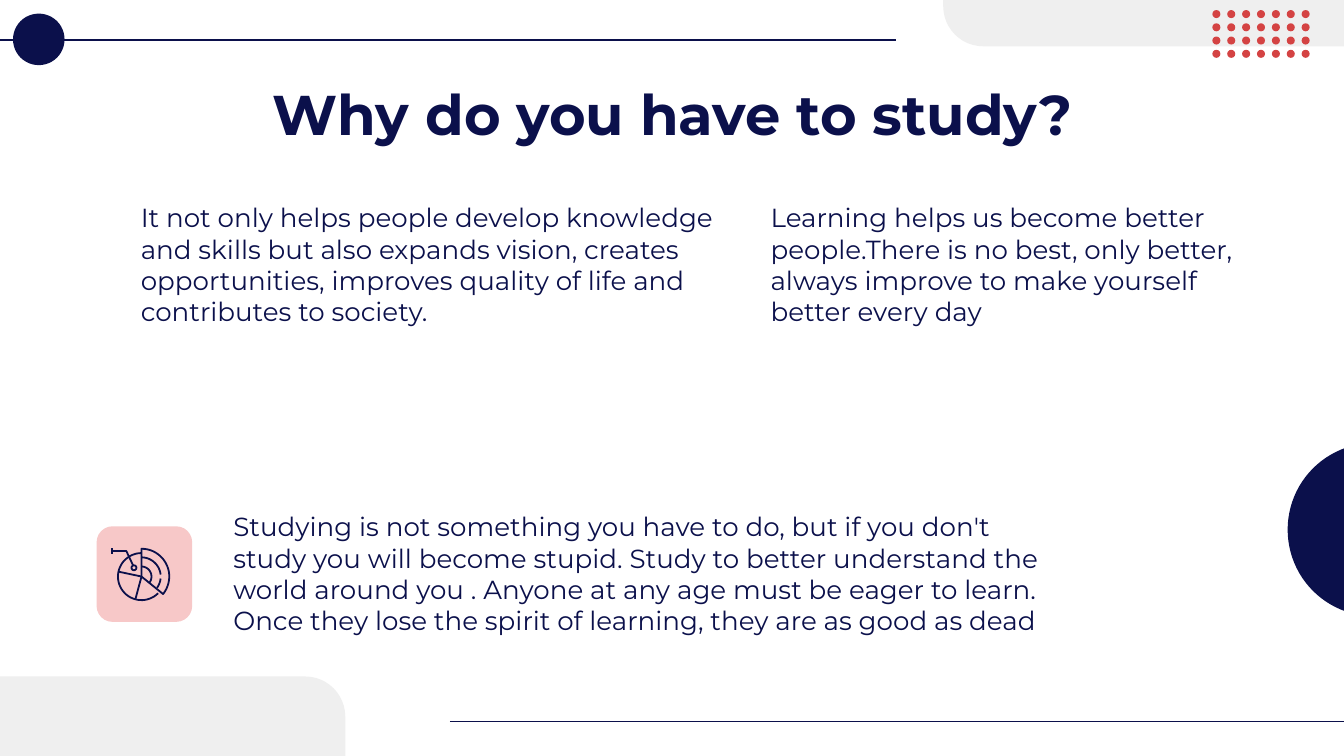
from itertools import product
from math import cos, radians, sin

from lxml.etree import SubElement
from pptx import Presentation
from pptx.dml.color import RGBColor
from pptx.enum.shapes import MSO_CONNECTOR as CONN, MSO_SHAPE as SHAPE
from pptx.enum.text import MSO_ANCHOR as ANCHOR, MSO_AUTO_SIZE as FIT, PP_ALIGN as ALIGN
from pptx.oxml.ns import qn
from pptx.util import Pt

NAVY, RED, PINK, GREY = "0B104B", "D44343", "F7C8C8", "EFEFEF"
FONT = "Montserrat"
HUB = (75.8, 308.9)


def paint(fmt, color):
    """Set a fill or font colour from a hex string."""
    if hasattr(fmt, "solid"):
        fmt.solid()
        fmt = fmt.fore_color
    fmt.rgb = RGBColor.from_string(color)


def place(sp, x, y, w, h):
    """Move and size an object, in points."""
    sp.left, sp.top, sp.width, sp.height = Pt(x), Pt(y), Pt(w), Pt(h)


def write(sp, text, size=14, bold=False, align=ALIGN.LEFT):
    """Fill a placeholder with one formatted, bullet-free paragraph."""
    tf = sp.text_frame
    tf.word_wrap, tf.auto_size, tf.vertical_anchor = True, FIT.NONE, ANCHOR.TOP
    tf.margin_left = tf.margin_right = tf.margin_top = tf.margin_bottom = Pt(7.2)
    p = tf.paragraphs[0]
    p.alignment, p.space_before, p.line_spacing = align, Pt(0), 1.0
    pPr = p._p.get_or_add_pPr()
    pPr.set("marL", "0")
    pPr.set("indent", "0")
    SubElement(pPr, qn("a:buNone"))
    r = p.add_run()
    r.text = text
    r.font.name, r.font.size, r.font.bold = FONT, Pt(size), bold
    paint(r.font.color, NAVY)


def add_shape(s, kind, x, y, w, h, color, adj=(), rotation=0):
    """Add a plain filled preset shape."""
    sp = s.shapes.add_shape(kind, Pt(x), Pt(y), Pt(w), Pt(h))
    sp.shadow.inherit = False
    sp.rotation = rotation
    for i, value in enumerate(adj):
        sp.adjustments[i] = value
    paint(sp.fill, color)
    sp.line.fill.background()


def add_rule(s, x1, x2, y):
    """Add a thin horizontal navy line."""
    c = s.shapes.add_connector(CONN.STRAIGHT, Pt(x1), Pt(y), Pt(x2), Pt(y))
    c.line.width = Pt(0.75)
    paint(c.line.fill, NAVY)
    SubElement(c._element.spPr, qn("a:effectLst"))


def arc(radius, start, end, center=HUB):
    """Return points along an arc, in degrees clockwise from the right."""
    n = max(2, int(abs(end - start) / 6))
    angles = [radians(start + (end - start) * i / n) for i in range(n + 1)]
    return [(center[0] + radius * cos(a), center[1] + radius * sin(a)) for a in angles]


def add_stroke(s, points, close=False):
    """Add an unfilled navy outline through the points."""
    pts = [(Pt(x), Pt(y)) for x, y in points]
    builder = s.shapes.build_freeform(*pts[0])
    builder.add_line_segments(pts[1:], close=close)
    sp = builder.convert_to_shape()
    sp.shadow.inherit = False
    sp.fill.background()
    sp.line.width = Pt(0.95)
    paint(sp.line.fill, NAVY)


def add_chart_icon(s):
    """Draw the pie-chart icon on its pink tile."""
    add_shape(s, SHAPE.ROUNDED_RECTANGLE, 51.8, 282, 51.2, 51.2, PINK, [0.167])
    add_stroke(s, [HUB] + arc(14.9, -90, 39), close=True)
    for radius, start, end in [(12.6, 45, 270), (10.3, -90, -6), (10.3, 6, 36), (5.4, -90, 40)]:
        add_stroke(s, arc(radius, start, end))
    for angle in (105, 192):
        add_stroke(s, [HUB, arc(12.6, angle, angle)[0]])
    add_stroke(s, arc(1.3, 0, 360, (71.8, 304.2)), close=True)
    add_stroke(s, [(60.2, 293.7), (60.2, 296.8)])
    add_stroke(s, [(60.2, 295.2), (67.7, 295.2), (71.3, 302.9)])


def add_decor(s):
    """Draw the lines, corner blocks, discs and dot grid."""
    add_rule(s, 241, 720, 386.6)
    add_rule(s, 0, 480, 21.4)
    add_shape(s, SHAPE.OVAL, 7, 7.3, 27.6, 27.6, NAVY)
    add_shape(s, SHAPE.PIE, 689.8, 237.3, 92.9, 92.9, NAVY, [54, 162])
    add_shape(s, SHAPE.ROUND_1_RECTANGLE, 505.3, -18.1, 220.3, 42.9, GREY, [0.5], 180)
    add_shape(s, SHAPE.ROUND_1_RECTANGLE, 0, 362.4, 185, 42.9, GREY, [0.5])
    for row, col in product(range(4), range(7)):
        add_shape(s, SHAPE.OVAL, 649.5 + 7.97 * col, 5.4 + 7.1 * row, 4.3, 4.3, RED)


def main():
    """Build the slide and save it."""
    prs = Presentation()
    prs.slide_width, prs.slide_height = Pt(720), Pt(405)
    s = prs.slides.add_slide(prs.slide_layouts.get_by_name("Comparison"))
    add_decor(s)
    place(s.shapes.title, 56.9, 35.3, 607, 45.4)
    write(s.shapes.title, "Why do you have to study?", size=30, bold=True, align=ALIGN.CENTER)
    bodies = {
        1: ("It not only helps people develop knowledge and skills but also expands vision, "
            "creates opportunities, improves quality of life and contributes to society.",
            (68.2, 100.8, 332.6, 161.3)),
        2: ("Learning helps us become better people.There is no best, only better, "
            "always improve to make yourself better every day",
            (405.6, 100.8, 265.7, 85)),
        3: ("Studying is not something you have to do, but if you don't study you will become "
            "stupid. Study to better understand the world around you . Anyone at any age must "
            "be eager to learn. Once they lose the spirit of learning, they are as good as dead",
            (117.8, 266.4, 460, 82.8)),
    }
    for sp in list(s.placeholders)[1:]:
        idx = sp.placeholder_format.idx
        if idx in bodies:
            text, box = bodies[idx]
            place(sp, *box)
            write(sp, text)
        else:
            sp._element.getparent().remove(sp._element)
    add_chart_icon(s)
    prs.save("out.pptx")


if __name__ == "__main__":
    main()
